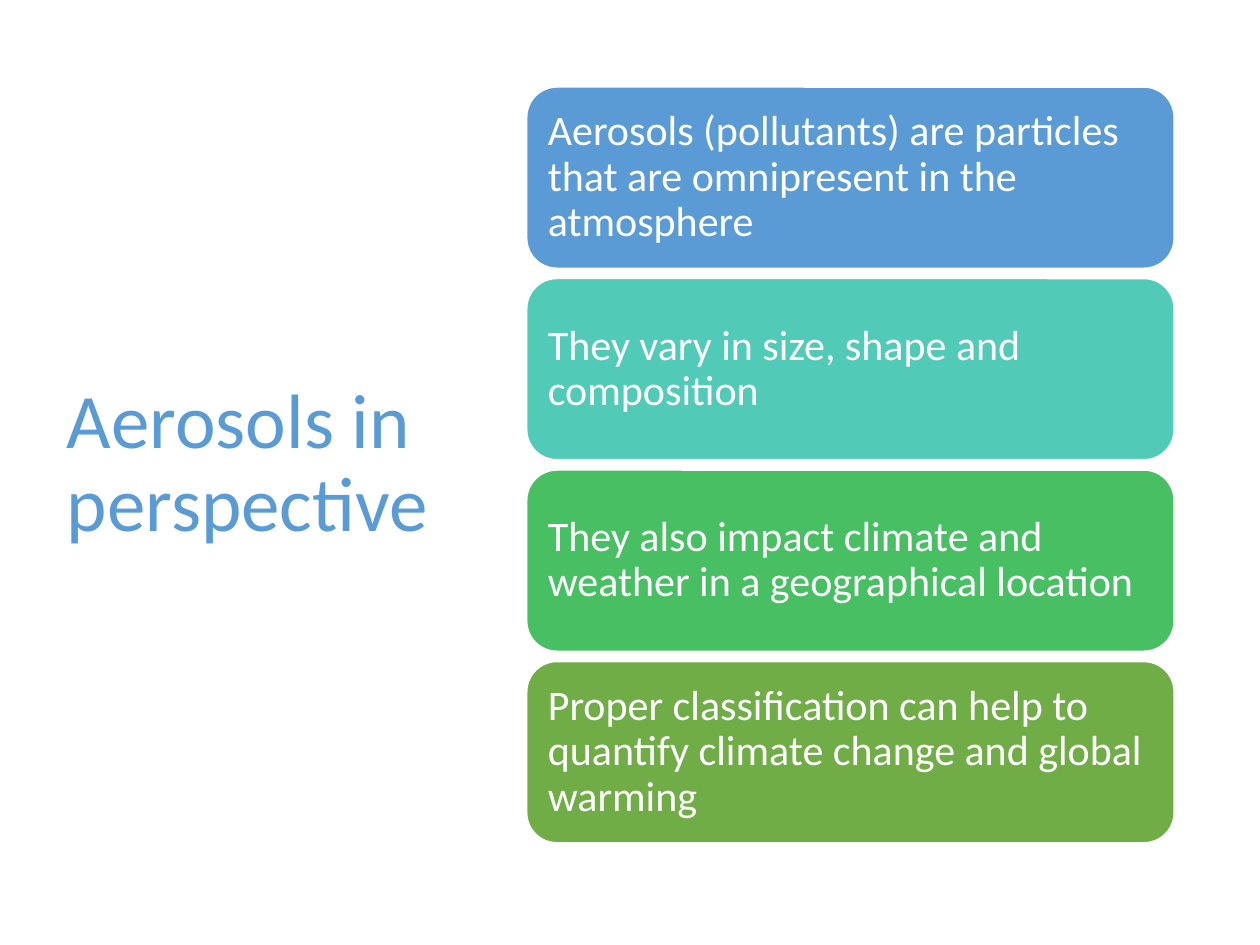
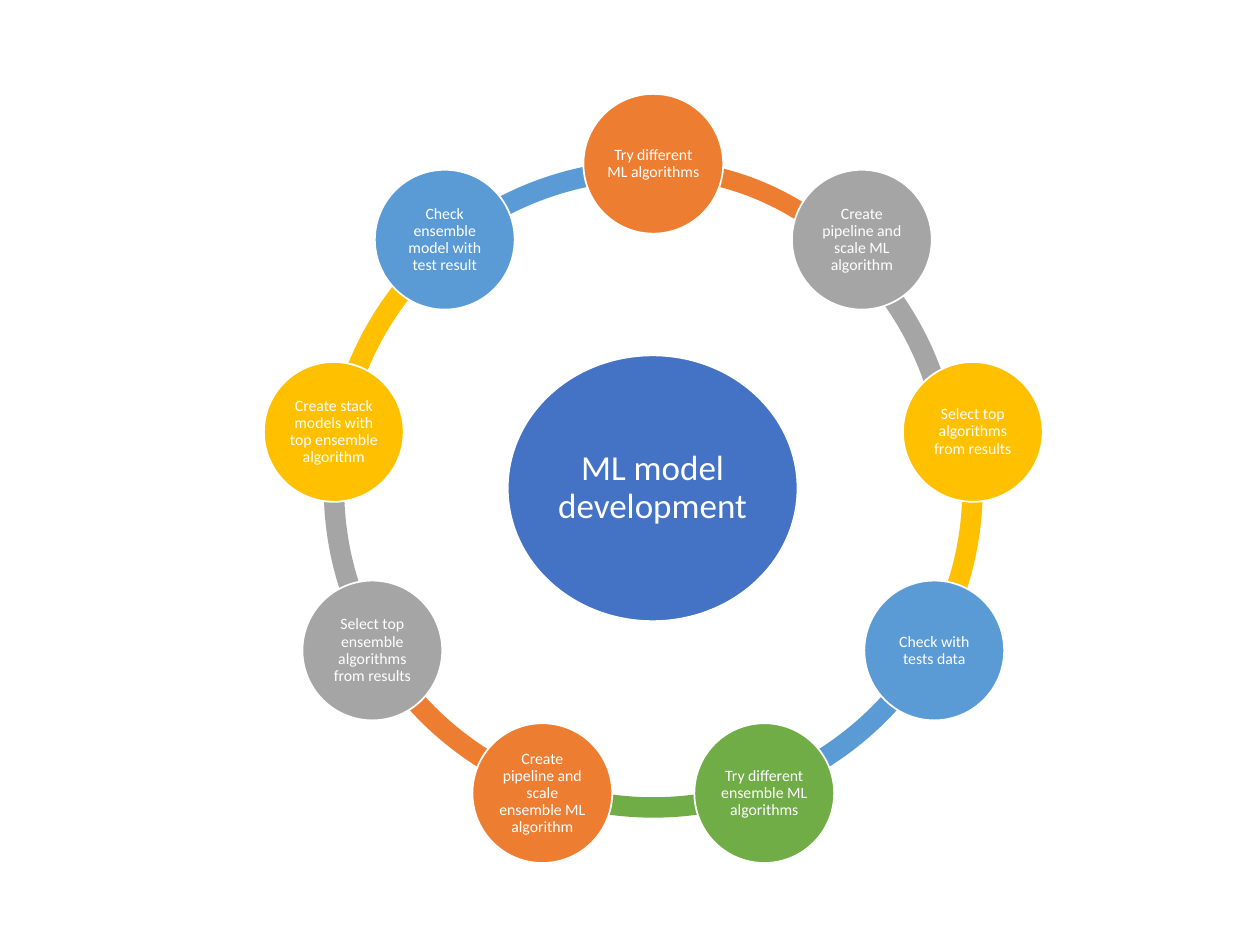
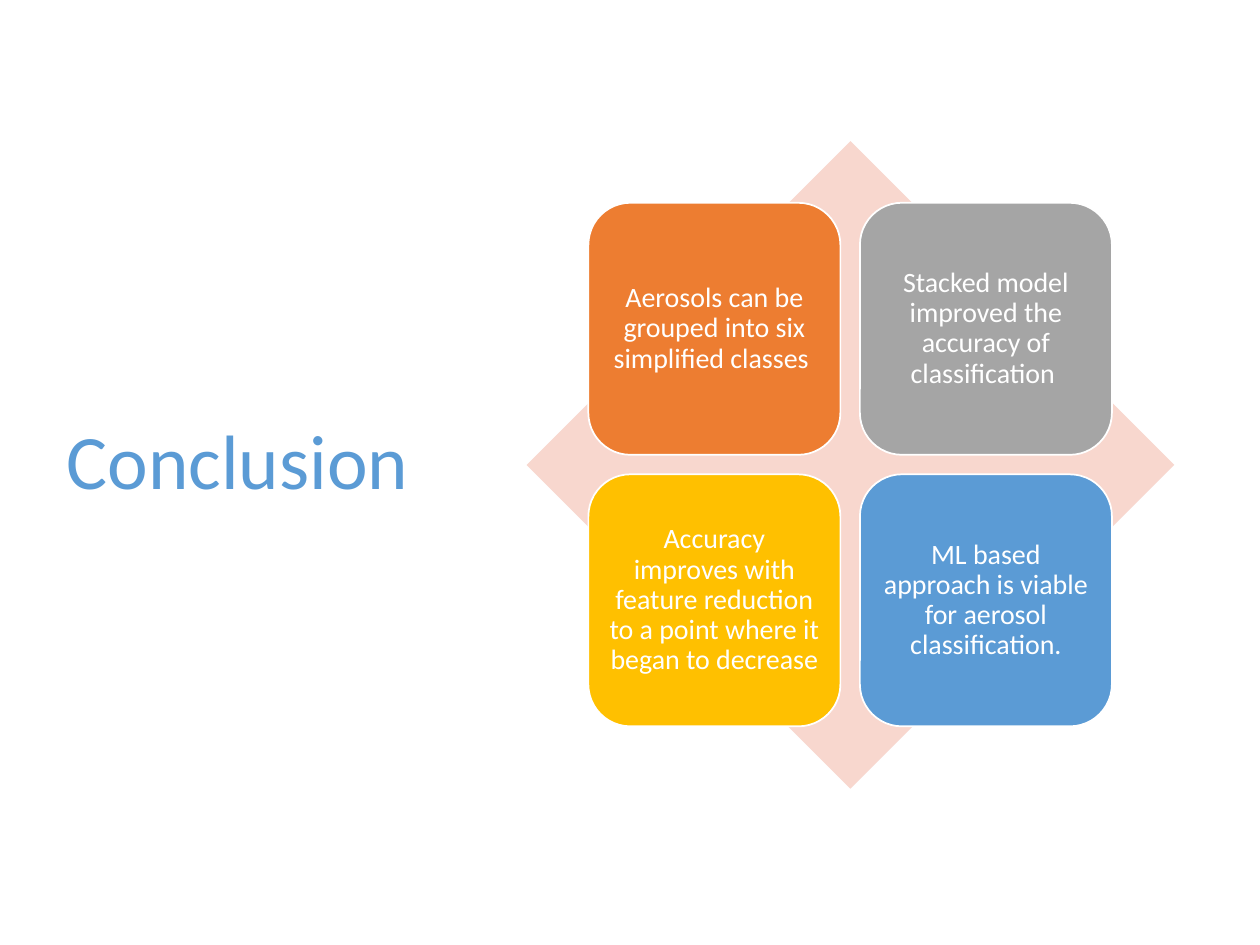
from math import cos, radians, sin

from pptx import Presentation
from pptx.dml.color import RGBColor
from pptx.enum.shapes import MSO_SHAPE
from pptx.enum.text import MSO_ANCHOR, MSO_AUTO_SIZE, PP_ALIGN
from pptx.util import Inches, Pt

COLORS = {
    "blue": "5B9BD5", "teal": "52CAB8", "mint": "49BF64", "green": "70AD47",
    "orange": "ED7D31", "grey": "A5A5A5", "yellow": "FFC000",
    "royal": "4472C4", "blush": "F8D7CE", "white": "FFFFFF",
}
FONT = "Calibri"
COLS, ROWS = 100, 75  # square grid cells, a tenth of an inch each
CELL = Inches(10) / COLS
PANEL_X, PANEL_W = 41.8, 51.4
TITLE_ONLY, BLANK = 5, 6

FACTS = [
    ("Aerosols (pollutants) are particles that are omnipresent in the atmosphere", "blue"),
    ("They vary in size, shape and composition", "teal"),
    ("They also impact climate and weather in a geographical location", "mint"),
    ("Proper classification can help to quantify climate change and global warming", "green"),
]
STEPS = [
    ("Try different ML algorithms", "orange"),
    ("Create pipeline and scale ML algorithm", "grey"),
    ("Select top algorithms from results", "yellow"),
    ("Check with tests data", "blue"),
    ("Try different ensemble ML algorithms", "green"),
    ("Create pipeline and scale ensemble ML algorithm", "orange"),
    ("Select top ensemble algorithms from results", "grey"),
    ("Create stack models with top ensemble algorithm", "yellow"),
    ("Check ensemble model with test result", "blue"),
]
FINDINGS = [
    ("Aerosols can be grouped into six simplified classes ", "orange"),
    ("Stacked model improved the accuracy of classification ", "grey"),
    ("Accuracy improves with feature reduction to a point where it began to decrease ", "yellow"),
    ("ML based approach is viable for aerosol classification.", "blue"),
]


def rgb(name):
    return RGBColor.from_string(COLORS[name])


def cells(*lengths):
    return [round(n * CELL) for n in lengths]


def write(sp, text, size, color="white", align=PP_ALIGN.LEFT, inset=1.0):
    """Fill a shape's text frame with one formatted paragraph; inset in cells."""
    tf = sp.text_frame
    tf.word_wrap = True
    tf.auto_size = MSO_AUTO_SIZE.NONE
    tf.vertical_anchor = MSO_ANCHOR.MIDDLE
    tf.margin_left = tf.margin_right = tf.margin_top = tf.margin_bottom = cells(inset)[0]
    p = tf.paragraphs[0]
    p.alignment, p.line_spacing = align, 0.9
    r = p.add_run()
    r.text = text
    r.font.name, r.font.size = FONT, Pt(size)
    r.font.color.rgb = rgb(color)


def add_figure(s, kind, box, fill, outlined=True):
    sp = s.shapes.add_shape(kind, *cells(*box))
    sp.shadow.inherit = False
    sp.fill.solid()
    sp.fill.fore_color.rgb = rgb(fill)
    if outlined:
        sp.line.color.rgb = rgb("white")
        sp.line.width = Pt(1)
    else:
        sp.line.fill.background()
    return sp


def add_titled_slide(prs, title):
    s = prs.slides.add_slide(prs.slide_layouts[TITLE_ONLY])
    sp = s.shapes.title
    sp.left, sp.top, sp.width, sp.height = cells(4.3, 6.8, 31.2, 60.2)
    write(sp, title, 44, color="blue")
    return s


def add_bars(s, items, top=6.9, height=14.4, pitch=15.2):
    for i, (text, fill) in enumerate(items):
        box = (PANEL_X, top + i * pitch, PANEL_W, height)
        write(add_figure(s, MSO_SHAPE.ROUNDED_RECTANGLE, box, fill), text, 24)


def add_cycle(s, steps, cx=51.85, cy=38.75, radius=25.75, node=11.1):
    """Ring of arcs, a hub and one circle for each step, clockwise from the top."""
    turn = 360 / len(steps)
    ring = 52.3
    ring_box = (cx - ring / 2, cy - ring / 2, ring, ring)
    shifted = {0: (27.9, 12.7, 48.1, ring), 1: (24, 12.2, ring, ring),
               8: (25.5, 12.7, ring, ring)}
    for i, (_, fill) in reversed(list(enumerate(steps))):
        arc = add_figure(s, MSO_SHAPE.BLOCK_ARC, shifted.get(i, ring_box), fill, outlined=False)
        start = 270 + i * turn
        # one degree is 60000 units, and adjustments count in 100000
        arc.adjustments[0] = start % 360 * 0.6
        arc.adjustments[1] = (start + turn) % 360 * 0.6
        arc.adjustments[2] = 0.031

    hub = add_figure(s, MSO_SHAPE.OVAL, (40.3, 28.2, 23, 21.1), "royal")
    write(hub, "ML model development", 20, align=PP_ALIGN.CENTER, inset=0.3)
    for i, (text, fill) in enumerate(steps):
        angle = radians(i * turn)
        x = cx + radius * sin(angle) - node / 2
        y = cy - radius * cos(angle) - node / 2
        sp = add_figure(s, MSO_SHAPE.OVAL, (x, y, node, node), fill)
        write(sp, text, 9, align=PP_ALIGN.CENTER, inset=0.1)


def add_matrix(s, items, left=46.7, top=16.1, side=20, pitch=21.55):
    diamond = (PANEL_X, (ROWS - PANEL_W) / 2 - 0.6, PANEL_W, PANEL_W)
    add_figure(s, MSO_SHAPE.DIAMOND, diamond, "blush", outlined=False)
    for i, (text, fill) in enumerate(items):
        row, col = divmod(i, 2)
        box = (left + col * pitch, top + row * pitch, side, side)
        sp = add_figure(s, MSO_SHAPE.ROUNDED_RECTANGLE, box, fill)
        write(sp, text, 16, align=PP_ALIGN.CENTER, inset=0.7)


def main():
    prs = Presentation()
    prs.slide_width, prs.slide_height = cells(COLS, ROWS)
    add_bars(add_titled_slide(prs, "Aerosols in perspective"), FACTS)
    add_cycle(prs.slides.add_slide(prs.slide_layouts[BLANK]), STEPS)
    add_matrix(add_titled_slide(prs, "Conclusion"), FINDINGS)
    prs.save("out.pptx")


if __name__ == "__main__":
    main()
